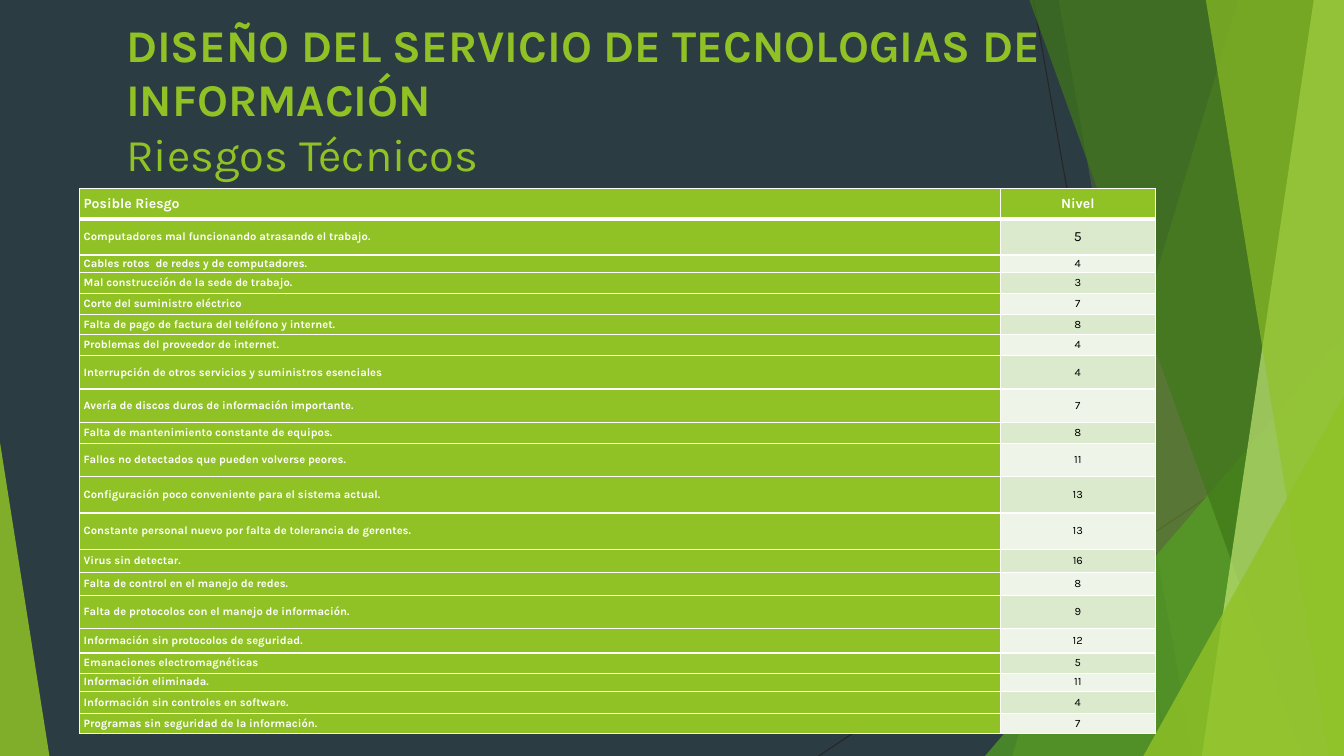
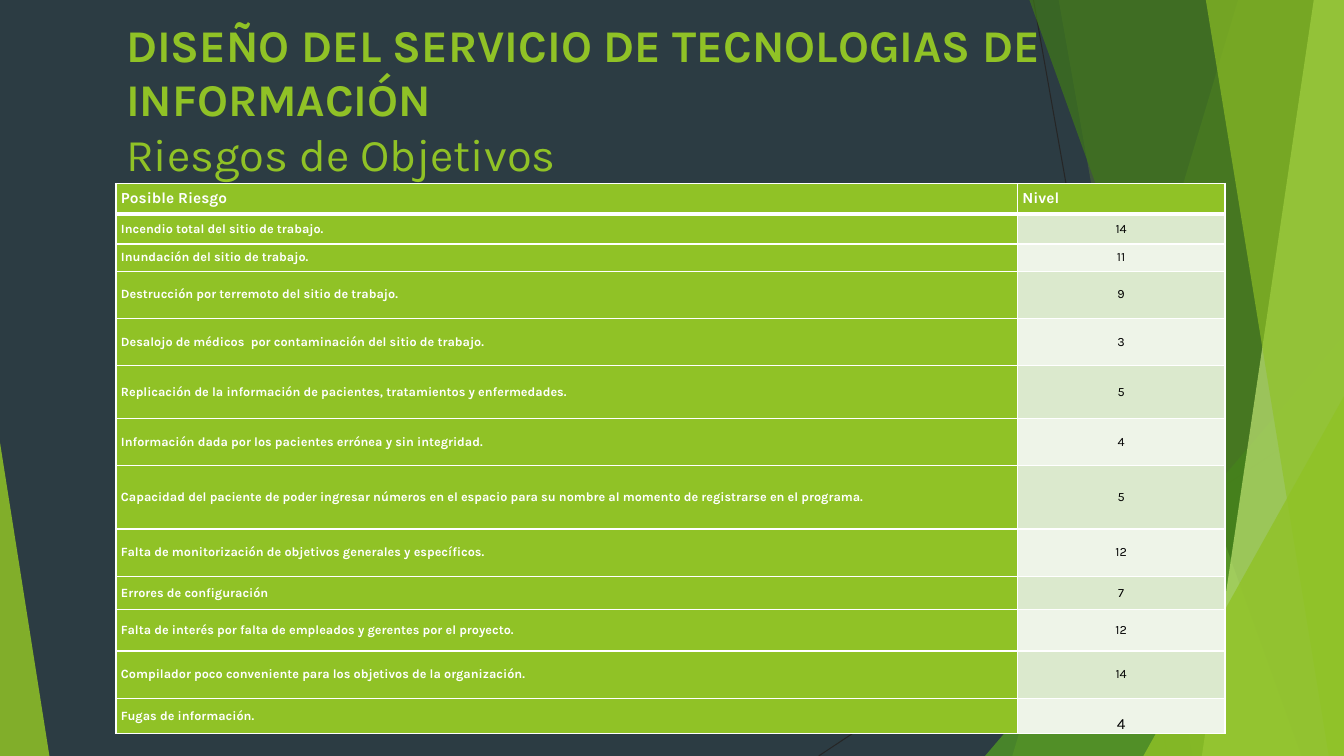
import dataclasses
import typing

import lxml.etree
import pptx
import pptx.dml.color
import pptx.enum.shapes
import pptx.enum.text
import pptx.oxml.ns
import pptx.presentation
import pptx.shapes.autoshape
import pptx.slide
import pptx.table
import pptx.util

Inches = pptx.util.Inches
Pt = pptx.util.Pt
qn = pptx.oxml.ns.qn
Anchor = pptx.enum.text.MSO_ANCHOR
Align = pptx.enum.text.PP_ALIGN

WIDTH, HEIGHT = 13.33, 7.5


@dataclasses.dataclass(frozen=True)
class Theme:
    font: str = "Karla"
    background: str = "2C3C43"
    green: str = "90C226"
    mid_green: str = "54A021"
    dark_green: str = "3F7819"
    pale_green: str = "C0E474"
    band_odd: str = "DBE9CD"
    band_even: str = "EEF4E8"
    hairline: str = "262626"
    white: str = "FFFFFF"
    black: str = "000000"
    title_size: float = 32.4
    hairline_width: float = 0.75
    border: float = 1
    header_border: float = 3


THEME = Theme()


class Facet(typing.NamedTuple):
    """Translucent polygon reaching from the top edge to the bottom edge."""
    top_left: float
    bottom_left: float
    color: str
    alpha: int


class Wedge(typing.NamedTuple):
    """Translucent right triangle standing on the bottom edge."""
    left: float
    top: float
    width: float
    apex: float
    color: str
    alpha: int


class Risk(typing.NamedTuple):
    text: str
    level: int
    height: float
    level_size: typing.Optional[float] = None
    level_anchor: Anchor = Anchor.MIDDLE


@dataclasses.dataclass(frozen=True)
class RiskSlide:
    subtitle: str
    left: float
    top: float
    columns: tuple[float, float]
    inset: float
    header_size: float
    body_size: float
    level_align: Align
    risks: list[Risk]


HAIRLINES = [(10.25, 0, 11.58, HEIGHT), (WIDTH, 4.03, 8.12, HEIGHT)]

DECORATION = [
    Facet(12.28, 10.04, THEME.green, 30),
    Facet(10.5, 11.83, THEME.green, 20),
    Wedge(9.77, 3.33, 3.56, 1, THEME.mid_green, 72),
    Facet(10.21, 12.91, THEME.dark_green, 70),
    Facet(13.03, 11.92, THEME.pale_green, 70),
    Facet(11.96, 13.18, THEME.green, 65),
    Wedge(11.34, 3.93, 1.99, 1, THEME.green, 80),
    Wedge(0, 4.39, 0.49, 0, THEME.green, 85),
]

HEADER_HEIGHT = 0.3
TITLE = "DISEÑO DEL SERVICIO DE TECNOLOGIAS DE INFORMACIÓN"

SLIDES = [
    RiskSlide("Riesgos Técnicos", 0.79, 1.87, (9.13, 1.54), 0.04, 10, 8, Align.CENTER, [
        Risk("Computadores mal funcionando atrasando el trabajo.", 5, 0.36, 10),
        Risk("Cables rotos  de redes y de computadores.", 4, 0.17),
        Risk("Mal construcción de la sede de trabajo.", 3, 0.21),
        Risk("Corte del suministro eléctrico", 7, 0.21),
        Risk("Falta de pago de factura del teléfono y internet.", 8, 0.2),
        Risk("Problemas del proveedor de internet.", 4, 0.21),
        Risk("Interrupción de otros servicios y suministros esenciales", 4, 0.33),
        Risk("Avería de discos duros de información importante.", 7, 0.33),
        Risk("Falta de mantenimiento constante de equipos.", 8, 0.21),
        Risk("Fallos no detectados que pueden volverse peores.", 11, 0.33),
        Risk("Configuración poco conveniente para el sistema actual.", 13, 0.36),
        Risk("Constante personal nuevo por falta de tolerancia de gerentes.", 13, 0.36),
        Risk("Virus sin detectar.", 16, 0.23),
        Risk("Falta de control en el manejo de redes.", 8, 0.23),
        Risk("Falta de protocolos con el manejo de información.", 9, 0.33),
        Risk("Información sin protocolos de seguridad.", 12, 0.24),
        Risk("Emanaciones electromagnéticas", 5, 0.2),
        Risk("Información eliminada.", 11, 0.18),
        Risk("Información sin controles en software.", 4, 0.22),
        Risk("Programas sin seguridad de la información.", 7, 0.2),
    ]),
    RiskSlide("Riesgos de Objetivos", 1.15, 1.82, (8.94, 2.06), 0.05, 11, 9, Align.LEFT, [
        Risk("Incendio total del sitio de trabajo.", 14, 0.3),
        Risk("Inundación del sitio de trabajo.", 11, 0.27),
        Risk("Destrucción por terremoto del sitio de trabajo.", 9, 0.47),
        Risk("Desalojo de médicos  por contaminación del sitio de trabajo.", 3, 0.47),
        Risk("Replicación de la información de pacientes, tratamientos y enfermedades.", 5, 0.52),
        Risk("Información dada por los pacientes errónea y sin integridad.", 4, 0.47),
        Risk("Capacidad del paciente de poder ingresar números en el espacio para su nombre "
             "al momento de registrarse en el programa.", 5, 0.63),
        Risk("Falta de monitorización de objetivos generales y específicos.", 12, 0.47),
        Risk("Errores de configuración", 7, 0.33),
        Risk("Falta de interés por falta de empleados y gerentes por el proyecto.", 12, 0.41),
        Risk("Compilador poco conveniente para los objetivos de la organización.", 14, 0.47),
        Risk("Fugas de información.", 4, 0.35, 11, Anchor.BOTTOM),
    ]),
]


def rgb(color: str) -> pptx.dml.color.RGBColor:
    return pptx.dml.color.RGBColor.from_string(color)


def add_run(p, text: str, size: float, color: str, bold: bool) -> None:
    r = p.add_run()
    r.text = text
    r.font.name = THEME.font
    r.font.size = Pt(size)
    r.font.bold = bold
    r.font.color.rgb = rgb(color)


def paint(sp: pptx.shapes.autoshape.Shape, color: str, alpha: int) -> None:
    """Give a shape a translucent fill with no outline or shadow."""
    sp.shadow.inherit = False
    sp.fill.solid()
    sp.fill.fore_color.rgb = rgb(color)
    fill_color = sp.element.spPr.find(qn("a:solidFill")).find(qn("a:srgbClr"))
    lxml.etree.SubElement(fill_color, qn("a:alpha"), val=str(alpha * 1000))
    sp.line.fill.background()


def add_hairline(s: pptx.slide.Slide, x1: float, y1: float, x2: float, y2: float):
    line = s.shapes.add_connector(pptx.enum.shapes.MSO_CONNECTOR.STRAIGHT,
                                  Inches(x1), Inches(y1), Inches(x2), Inches(y2))
    line.line.color.rgb = rgb(THEME.hairline)
    line.line.width = Pt(THEME.hairline_width)
    lxml.etree.SubElement(line.element.spPr, qn("a:effectLst"))
    return line


def add_facet(s: pptx.slide.Slide, facet: Facet) -> pptx.shapes.autoshape.Shape:
    builder = s.shapes.build_freeform(Inches(facet.top_left), 0)
    corners = [(WIDTH, 0), (WIDTH, HEIGHT), (facet.bottom_left, HEIGHT)]
    builder.add_line_segments([(Inches(x), Inches(y)) for x, y in corners], close=True)
    sp = builder.convert_to_shape()
    paint(sp, facet.color, facet.alpha)
    return sp


def add_wedge(s: pptx.slide.Slide, wedge: Wedge) -> pptx.shapes.autoshape.Shape:
    sp = s.shapes.add_shape(pptx.enum.shapes.MSO_SHAPE.ISOSCELES_TRIANGLE,
                            Inches(wedge.left), Inches(wedge.top),
                            Inches(wedge.width), Inches(HEIGHT - wedge.top))
    sp.adjustments[0] = wedge.apex
    paint(sp, wedge.color, wedge.alpha)
    return sp


def prepare_layout(layout: pptx.slide.SlideLayout) -> None:
    """Set the shared background and title box, and drop the footers."""
    layout.background.fill.solid()
    layout.background.fill.fore_color.rgb = rgb(THEME.background)
    for ph in list(layout.placeholders):
        if ph.placeholder_format.type == pptx.enum.shapes.PP_PLACEHOLDER.TITLE:
            ph.left, ph.top = Inches(1.15), Inches(0.12)
            ph.width, ph.height = Inches(9.4), Inches(1.44)
            ph.text_frame.vertical_anchor = Anchor.TOP
            ph.text_frame.auto_size = pptx.enum.text.MSO_AUTO_SIZE.NONE
        else:
            layout.shapes.element.remove(ph.element)


def decorate_layout(layout: pptx.slide.SlideLayout, s: pptx.slide.Slide) -> None:
    """Draw the decoration on a slide, then move it to the shared layout."""
    shapes = [add_hairline(s, *ends) for ends in HAIRLINES]
    for item in DECORATION:
        draw = add_facet if isinstance(item, Facet) else add_wedge
        shapes.append(draw(s, item))
    for sp in shapes:
        layout.shapes.element.append(sp.element)


def add_title(s: pptx.slide.Slide, subtitle: str) -> None:
    p = s.shapes.title.text_frame.paragraphs[0]
    p.alignment = Align.LEFT
    add_run(p, TITLE, THEME.title_size, THEME.green, True)
    p.add_line_break()
    add_run(p, subtitle, THEME.title_size, THEME.green, False)


def set_borders(cell, top: float, bottom: float) -> None:
    tc_pr = cell._tc.get_or_add_tcPr()
    widths = {"a:lnL": THEME.border, "a:lnR": THEME.border, "a:lnT": top, "a:lnB": bottom}
    for position, (tag, width) in enumerate(widths.items()):
        ln = lxml.etree.Element(qn(tag), w=str(Pt(width)))
        fill = lxml.etree.SubElement(ln, qn("a:solidFill"))
        lxml.etree.SubElement(fill, qn("a:srgbClr"), val=THEME.white)
        tc_pr.insert(position, ln)


def fill_cell(table: pptx.table.Table, row: int, col: int, text: str, size: float,
              inset: float, fill: str, align: Align = Align.LEFT,
              anchor: Anchor = Anchor.MIDDLE) -> None:
    cell = table.cell(row, col)
    cell.margin_left = cell.margin_right = Inches(inset)
    cell.margin_top = cell.margin_bottom = 0
    cell.vertical_anchor = anchor
    cell.fill.solid()
    cell.fill.fore_color.rgb = rgb(fill)
    set_borders(cell, THEME.header_border if row == 1 else THEME.border,
                THEME.header_border if row == 0 else THEME.border)
    p = cell.text_frame.paragraphs[0]
    p.alignment = align
    on_green = fill == THEME.green
    add_run(p, text, size, THEME.white if on_green else THEME.black, on_green)


def add_risk_table(s: pptx.slide.Slide, data: RiskSlide) -> None:
    heights = [HEADER_HEIGHT] + [risk.height for risk in data.risks]
    table = s.shapes.add_table(len(heights), len(data.columns), Inches(data.left),
                               Inches(data.top), Inches(sum(data.columns)),
                               Inches(sum(heights))).table
    for column, width in zip(table.columns, data.columns):
        column.width = Inches(width)
    for row, height in zip(table.rows, heights):
        row.height = Inches(height)
    fill_cell(table, 0, 0, "Posible Riesgo", data.header_size, data.inset, THEME.green)
    fill_cell(table, 0, 1, "Nivel", data.header_size, data.inset, THEME.green,
              data.level_align)
    for i, risk in enumerate(data.risks, start=1):
        fill_cell(table, i, 0, risk.text, data.body_size, data.inset, THEME.green)
        fill_cell(table, i, 1, str(risk.level), risk.level_size or data.body_size,
                  data.inset, THEME.band_odd if i % 2 else THEME.band_even,
                  Align.CENTER, risk.level_anchor)


def main() -> None:
    prs = pptx.Presentation()
    prs.slide_width, prs.slide_height = Inches(WIDTH), Inches(HEIGHT)
    layout = prs.slide_layouts[5]
    prepare_layout(layout)
    for i, data in enumerate(SLIDES):
        s = prs.slides.add_slide(layout)
        if i == 0:
            decorate_layout(layout, s)
        add_title(s, data.subtitle)
        add_risk_table(s, data)
    prs.save("out.pptx")


if __name__ == "__main__":
    main()
